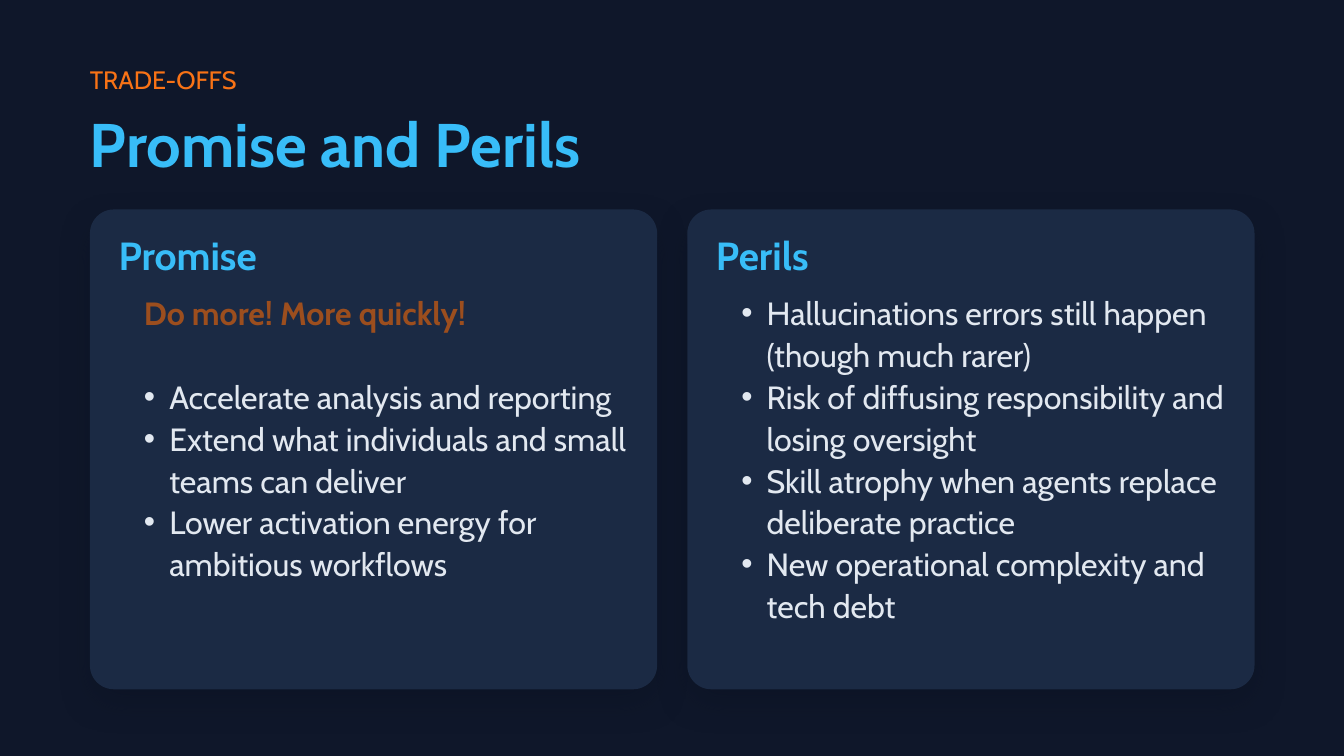
from lxml import etree
from pptx import Presentation
from pptx import util as u
from pptx.dml.color import RGBColor
from pptx.enum import shapes, text
from pptx.oxml import ns

NAVY, CARD, SHADOW = "0F172A", "1B2A44", "050C1A"
SKY, ORANGE, RUST, PALE = "38BDF8", "F97316", "9C4E1E", "E2E8F0"


def color(value):
    return RGBColor.from_string(value)


def add_xml(parent, tag, **attributes):
    return etree.SubElement(parent, ns.qn(tag), attributes)


class SlideBuilder:
    """Holds the style and the current slide."""

    font = "Cabin"
    body_size = 17.2
    body_line = u.Pt(22.4)
    indent = u.Cm(0.48)

    def __init__(self, page):
        self.page = page
        page.background.fill.solid()
        page.background.fill.fore_color.rgb = color(NAVY)

    def frame(self, box, left, top, width, height, inset=0):
        """Place a text holder and return its plain, top-anchored frame."""
        box.left, box.top = u.Cm(left), u.Cm(top)
        box.width, box.height = u.Cm(width), u.Cm(height)
        frame = box.text_frame
        frame.word_wrap = True
        frame.auto_size = text.MSO_AUTO_SIZE.NONE
        frame.vertical_anchor = text.MSO_ANCHOR.TOP
        frame.margin_left = inset
        frame.margin_top = frame.margin_right = frame.margin_bottom = 0
        return frame

    def set_para(self, para, words, size, hue, bold=False, line=None, bullet=False):
        para.text = words
        para.alignment = text.PP_ALIGN.LEFT
        para.space_before = u.Pt(0)
        if line:
            para.line_spacing = line
        properties = para._p.get_or_add_pPr()
        indent = self.indent if bullet else 0
        properties.set("marL", str(indent))
        properties.set("indent", str(-indent))
        if bullet:
            add_xml(properties, "a:buFont", typeface="Arial")
            add_xml(properties, "a:buChar", char="•")
        else:
            add_xml(properties, "a:buNone")
        para.font.name, para.font.size = self.font, u.Pt(size)
        para.font.bold = bold
        para.font.color.rgb = color(hue)

    def label(self, words, place):
        box = self.page.shapes.add_textbox(0, 0, 0, 0)
        para = self.frame(box, *place).paragraphs[0]
        self.set_para(para, words, 13.5, ORANGE, line=u.Pt(19.2))

    def heading(self, box, words, size, place):
        para = self.frame(box, *place).paragraphs[0]
        self.set_para(para, words, size, SKY, bold=True)

    def card(self, left, top, width, height):
        box = self.page.shapes.add_shape(
            shapes.MSO_SHAPE.ROUNDED_RECTANGLE,
            u.Cm(left), u.Cm(top), u.Cm(width), u.Cm(height))
        box.adjustments[0] = 0.05
        box.fill.solid()
        box.fill.fore_color.rgb = color(CARD)
        box.line.fill.background()
        # Soft shadow straight below
        effects = add_xml(box._element.spPr, "a:effectLst")
        shadow = add_xml(effects, "a:outerShdw", blurRad=str(u.Pt(18)),
                         dist=str(u.Pt(7.5)), dir="5400000", algn="bl",
                         rotWithShape="0")
        tint = add_xml(shadow, "a:srgbClr", val=SHADOW)
        add_xml(tint, "a:alpha", val="25000")
        # Cards lie behind the placeholders
        self.page.shapes._spTree.insert(2, box._element)

    def bullets(self, box, items, place, lead=None):
        frame = self.frame(box, *place, inset=self.indent)
        para = frame.paragraphs[0]
        if lead:
            self.set_para(para, lead, self.body_size, RUST, True, self.body_line)
            para.space_after = self.body_line
            para = frame.add_paragraph()
        for number, item in enumerate(items):
            if number:
                para = frame.add_paragraph()
            self.set_para(para, item, self.body_size, PALE,
                          line=self.body_line, bullet=True)


COLUMNS = [
    ("Promise", "Do more! More quickly!", [
        "Accelerate analysis and reporting",
        "Extend what individuals and small teams can deliver",
        "Lower activation energy for ambitious workflows"]),
    ("Perils", None, [
        "Hallucinations errors still happen (though much rarer)",
        "Risk of diffusing responsibility and losing oversight",
        "Skill atrophy when agents replace deliberate practice",
        "New operational complexity and tech debt"]),
]


def main():
    deck = Presentation()
    deck.slide_width, deck.slide_height = u.Cm(25.4), u.Cm(14.29)
    comparison = deck.slide_layouts[4]
    page = deck.slides.add_slide(comparison)
    builder = SlideBuilder(page)
    holders = list(page.placeholders)

    # Header
    margin, width = 1.7, 22.45
    builder.label("TRADE-OFFS", (margin, 1.12, width, 0.69))
    builder.heading(page.shapes.title, "Promise and Perils", 33,
                    (margin, 2.01, width, 1.32))

    # Two cards, each with a heading and a list
    card_width, gap, padding = 10.72, 0.57, 0.54
    for number, (name, lead, items) in enumerate(COLUMNS):
        left = margin + number * (card_width + gap)
        head, body = holders[1 + 2 * number:3 + 2 * number]
        builder.card(left, 3.96, card_width, 9.07)
        builder.heading(head, name, 21, (left + padding, 4.37, 9.86, 0.84))
        builder.bullets(body, items, (left + padding, 5.49, 9.65, 7.11), lead)

    deck.save("out.pptx")


if __name__ == "__main__":
    main()
